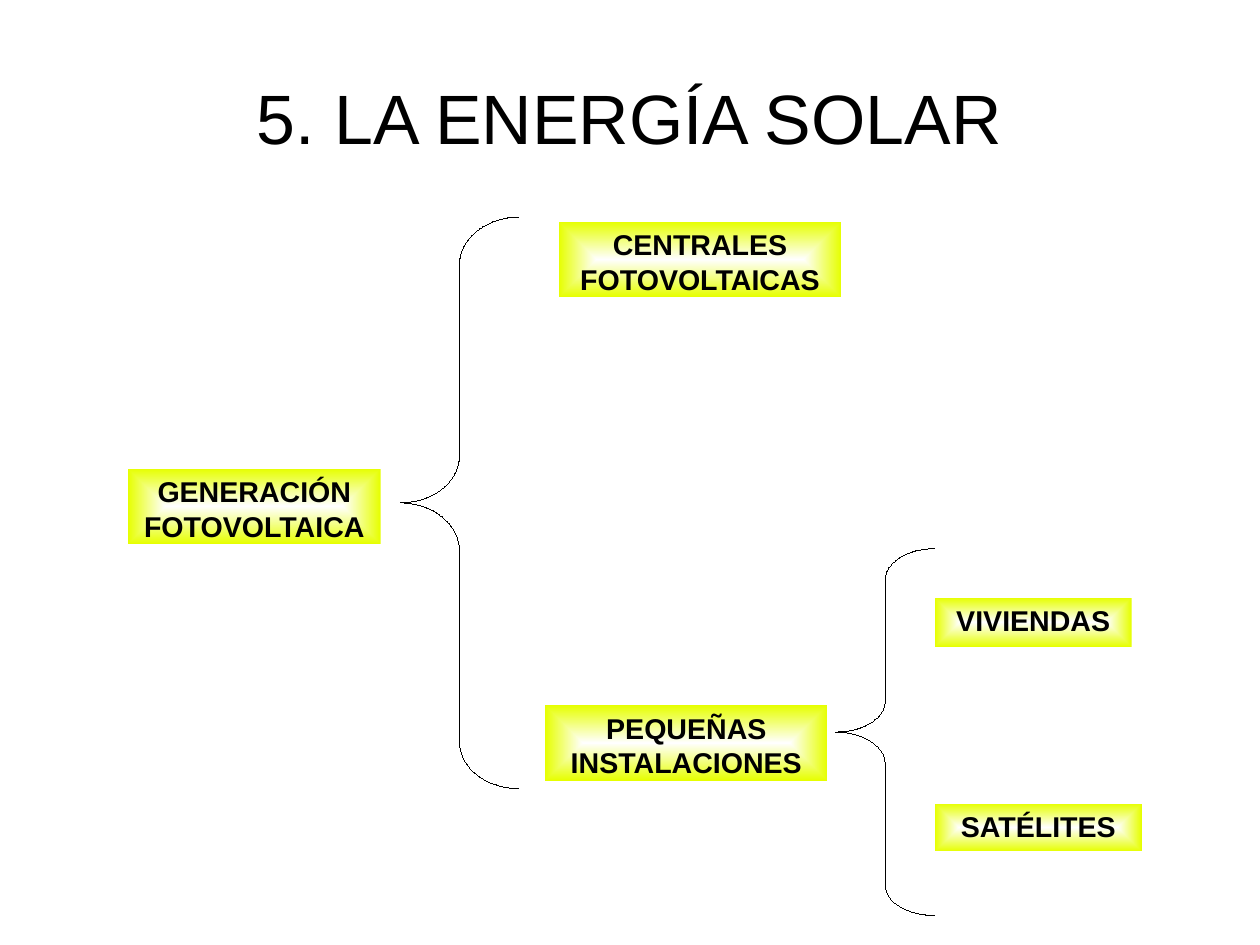
from dataclasses import dataclass

from lxml.etree import SubElement
from pptx import Presentation
from pptx.dml.color import RGBColor
from pptx.enum.shapes import MSO_SHAPE
from pptx.enum.text import MSO_ANCHOR, PP_ALIGN
from pptx.oxml.ns import qn
from pptx.slide import Slide
from pptx.text.text import TextFrame
from pptx.util import Inches, Pt


@dataclass
class Label:
    text: str
    left: float
    top: float
    width: float
    height: float


@dataclass
class Brace:
    left: float
    top: float
    width: float
    height: float
    curve: float


# The page is 28 by 21 centimetres.
PAGE_WIDTH = Inches(28 / 2.54)
PAGE_HEIGHT = Inches(21 / 2.54)

TITLE = Label("5. LA ENERGÍA SOLAR", 0.55, 0.38, 9.92, 1.28)
LABELS = [
    Label("GENERACIÓN FOTOVOLTAICA", 1.12, 4.1, 2.21, 0.66),
    Label("CENTRALES FOTOVOLTAICAS", 4.89, 1.94, 2.47, 0.66),
    Label("PEQUEÑAS INSTALACIONES", 4.77, 6.17, 2.47, 0.66),
    Label("VIVIENDAS", 8.18, 5.23, 1.72, 0.43),
    Label("SATÉLITES", 8.18, 7.03, 1.81, 0.42),
]
BRACES = [
    Brace(3.5, 1.9, 1.04, 5, 0.4),
    Brace(7.31, 4.8, 0.87, 3.21, 0.31),
]


def color(code: str) -> RGBColor:
    return RGBColor.from_string(code)


def place(item: Label | Brace) -> list[int]:
    return [Inches(n) for n in (item.left, item.top, item.width, item.height)]


def write(frame: TextFrame, text: str, size: int, bold: bool) -> None:
    frame.word_wrap = True
    para = frame.paragraphs[0]
    para.text = text
    para.alignment = PP_ALIGN.CENTER
    para.font.name = "Arial"
    para.font.size = Pt(size)
    para.font.bold = bold
    para.font.color.rgb = color("000000")


def add_title(slide: Slide, title: Label) -> None:
    frame = slide.shapes.add_textbox(*place(title)).text_frame
    frame.margin_left = frame.margin_right = 0
    frame.margin_top = frame.margin_bottom = 0
    frame.vertical_anchor = MSO_ANCHOR.MIDDLE
    write(frame, title.text, 44, False)


def add_label(slide: Slide, label: Label) -> None:
    """Draw a box whose fill glows from a white centre to yellow edges."""
    box = slide.shapes.add_shape(MSO_SHAPE.RECTANGLE, *place(label))
    box.shadow.inherit = False
    box.line.fill.background()
    box.fill.gradient()
    for stop, code in zip(box.fill.gradient_stops, ("FFFFFF", "E6FF00")):
        stop.color.rgb = color(code)
    grad = box.element.spPr.find(qn("a:gradFill"))
    grad.remove(grad.find(qn("a:lin")))
    glow = SubElement(grad, qn("a:path"), path="rect")
    sides = {side: "50000" for side in "ltrb"}
    SubElement(glow, qn("a:fillToRect"), sides)
    box.text_frame.vertical_anchor = MSO_ANCHOR.TOP
    write(box.text_frame, label.text, 18, True)


def add_brace(slide: Slide, brace: Brace) -> None:
    """Draw a brace with a hairline, whose zero width must be explicit."""
    shape = slide.shapes.add_shape(MSO_SHAPE.LEFT_BRACE, *place(brace))
    shape.shadow.inherit = False
    shape.adjustments[0] = brace.curve
    shape.fill.background()
    shape.line.color.rgb = color("000000")
    shape.element.spPr.find(qn("a:ln")).set("w", "0")


def main() -> None:
    deck = Presentation()
    deck.slide_width = PAGE_WIDTH
    deck.slide_height = PAGE_HEIGHT
    slide = deck.slides.add_slide(deck.slide_layouts[6])
    add_title(slide, TITLE)
    for label in LABELS:
        add_label(slide, label)
    for brace in BRACES:
        add_brace(slide, brace)
    deck.save("out.pptx")


if __name__ == "__main__":
    main()
